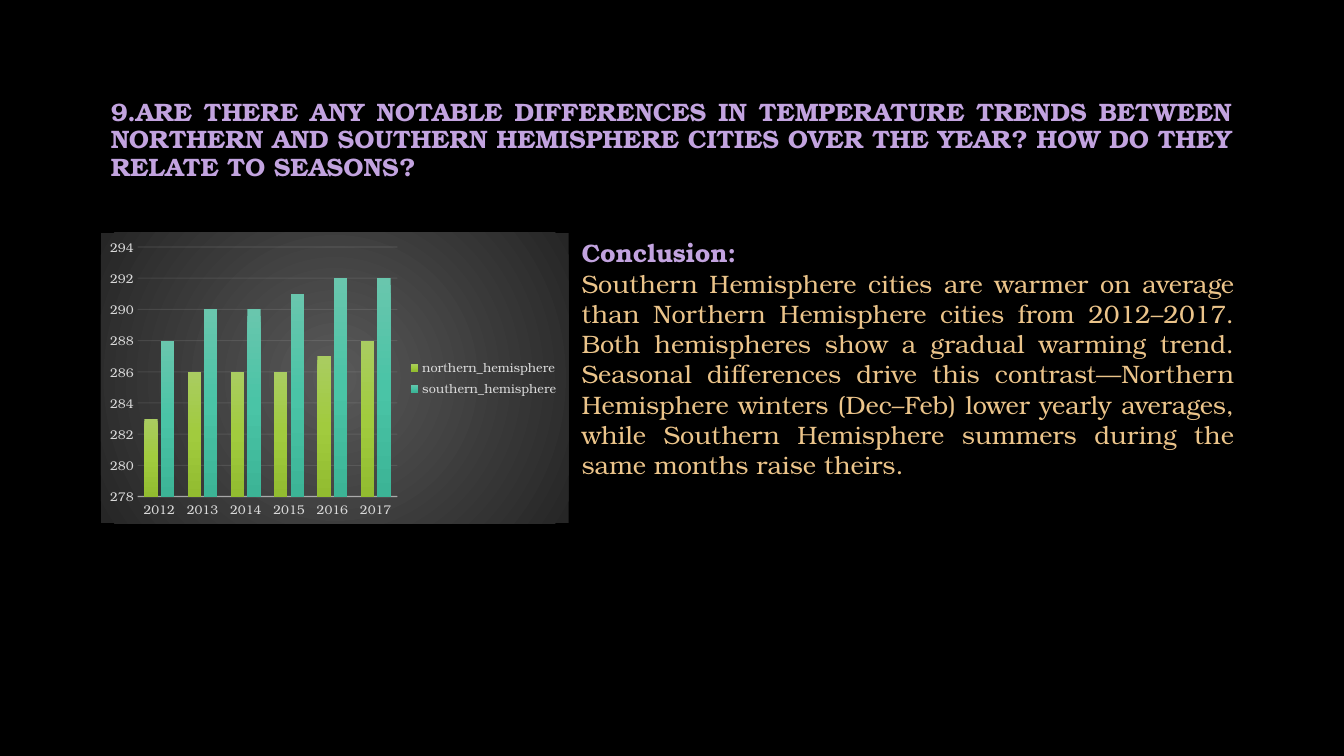
from dataclasses import dataclass

from lxml.etree import SubElement
from pptx import Presentation
from pptx.chart.data import CategoryChartData
from pptx.dml.color import RGBColor
from pptx.enum.chart import XL_CHART_TYPE, XL_LEGEND_POSITION, XL_TICK_MARK
from pptx.enum.text import MSO_ANCHOR, PP_ALIGN
from pptx.oxml.ns import qn
from pptx.util import Inches, Pt

FONT = "TeX Gyre Bonum"
HUES = {
    "back": "000000",
    "lilac": "C2A3DF",
    "sand": "EBC48A",
    "white": "FFFFFF",
    "label": "D9D9D9",
    "rule": "F2F2F2",
}
PANEL = ("595959", "262626")
YEARS = ("2012", "2013", "2014", "2015", "2016", "2017")


@dataclass
class Half:
    name: str
    temps: tuple[int, ...]
    stops: tuple[str, ...]


@dataclass
class Line:
    text: str
    hue: str
    bold: bool


@dataclass
class Block:
    box: tuple[float, float, float, float]
    anchor: MSO_ANCHOR
    space: float
    lines: list[Line]


HALVES = [
    Half("northern_hemisphere", (283, 286, 286, 286, 287, 288),
         ("A9CC61", "A1CB3E", "92BC30")),
    Half("southern_hemisphere", (288, 290, 290, 291, 292, 292),
         ("69C6AD", "4AC4A6", "3CB496")),
]
BLOCKS = [
    Block((1, 0.67, 11.32, 1.45), MSO_ANCHOR.MIDDLE, 0.9, [
        Line("9.ARE THERE ANY NOTABLE DIFFERENCES IN TEMPERATURE TRENDS "
             "BETWEEN NORTHERN AND SOUTHERN HEMISPHERE CITIES OVER THE YEAR? "
             "HOW DO THEY RELATE TO SEASONS?", "lilac", True),
    ]),
    Block((5.67, 2.31, 6.67, 2.52), MSO_ANCHOR.TOP, 1.0, [
        Line("Conclusion: ", "lilac", True),
        Line("Southern Hemisphere cities are warmer on average than Northern "
             "Hemisphere cities from 2012–2017. Both hemispheres show a "
             "gradual warming trend. Seasonal differences drive this "
             "contrast—Northern Hemisphere winters (Dec–Feb) lower yearly "
             "averages, while Southern Hemisphere summers during the same "
             "months raise theirs.", "sand", False),
    ]),
]


def style(font, size: float, hue: str, bold: bool = False) -> None:
    font.name = FONT
    font.size = Pt(size)
    font.bold = bold
    font.color.rgb = RGBColor.from_string(HUES[hue])


def write(slide, block: Block) -> None:
    shape = slide.shapes.add_textbox(*map(Inches, block.box))
    frame = shape.text_frame
    frame.word_wrap = True
    frame.vertical_anchor = block.anchor
    for i, line in enumerate(block.lines):
        para = frame.paragraphs[0] if i == 0 else frame.add_paragraph()
        para.alignment = PP_ALIGN.JUSTIFY
        para.line_spacing = block.space
        run = para.add_run()
        run.text = line.text
        style(run.font, 18, line.hue, line.bold)


def blend(props, stops: tuple[str, ...], radial: bool = False) -> None:
    """Add an evenly stepped gradient, top to bottom or from the centre."""
    grad = SubElement(props, qn("a:gradFill"), rotWithShape="1")
    steps = SubElement(grad, qn("a:gsLst"))
    for i, hue in enumerate(stops):
        place = str(100000 * i // (len(stops) - 1))
        stop = SubElement(steps, qn("a:gs"), pos=place)
        SubElement(stop, qn("a:srgbClr"), val=hue)
    if radial:
        way = SubElement(grad, qn("a:path"), path="circle")
        SubElement(way, qn("a:fillToRect"), l="50000", t="50000",
                   r="50000", b="50000")
    else:
        SubElement(grad, qn("a:lin"), ang="5400000", scaled="0")


def rule(form, width: float, alpha: int) -> None:
    """Draw a pale line with the given opacity in percent."""
    form.line.width = Pt(width)
    form.line.color.rgb = RGBColor.from_string(HUES["rule"])
    tint = form.line.fill._xPr.find(".//" + qn("a:srgbClr"))
    SubElement(tint, qn("a:alpha"), val=str(alpha * 1000))


def plot(slide) -> None:
    data = CategoryChartData()
    data.categories = YEARS
    for half in HALVES:
        data.add_series(half.name, half.temps)
    box = map(Inches, (1, 2.31, 4.64, 2.88))
    chart = slide.shapes.add_chart(
        XL_CHART_TYPE.COLUMN_CLUSTERED, *box, data).chart
    chart.has_title = False
    style(chart.font, 10, "white")
    panel = SubElement(chart.element, qn("c:spPr"))
    chart.element.find(qn("c:txPr")).addprevious(panel)
    blend(panel, PANEL, radial=True)
    SubElement(SubElement(panel, qn("a:ln")), qn("a:noFill"))

    chart.has_legend = True
    chart.legend.position = XL_LEGEND_POSITION.RIGHT
    chart.legend.include_in_layout = False
    style(chart.legend.font, 9, "label")

    years, temps = chart.category_axis, chart.value_axis
    for axis in (years, temps):
        axis.major_tick_mark = axis.minor_tick_mark = XL_TICK_MARK.NONE
        style(axis.tick_labels.font, 9, "label")
    rule(years.format, 1, 54)
    temps.minimum_scale, temps.maximum_scale = 278, 294
    temps.major_unit = 2
    temps.format.line.fill.background()
    rule(temps.major_gridlines.format, 0.75, 10)

    bars = chart.plots[0]
    bars.vary_by_categories = False
    bars.gap_width, bars.overlap = 100, -24
    for half, series in zip(HALVES, bars.series):
        blend(series._element.get_or_add_spPr(), half.stops)
        series.format.line.fill.background()


def main() -> None:
    deck = Presentation()
    deck.slide_width, deck.slide_height = Inches(13.33), Inches(7.5)
    slide = deck.slides.add_slide(deck.slide_layouts[6])
    fill = slide.background.fill
    fill.solid()
    fill.fore_color.rgb = RGBColor.from_string(HUES["back"])
    plot(slide)
    for block in BLOCKS:
        write(slide, block)
    deck.save("out.pptx")


if __name__ == "__main__":
    main()
